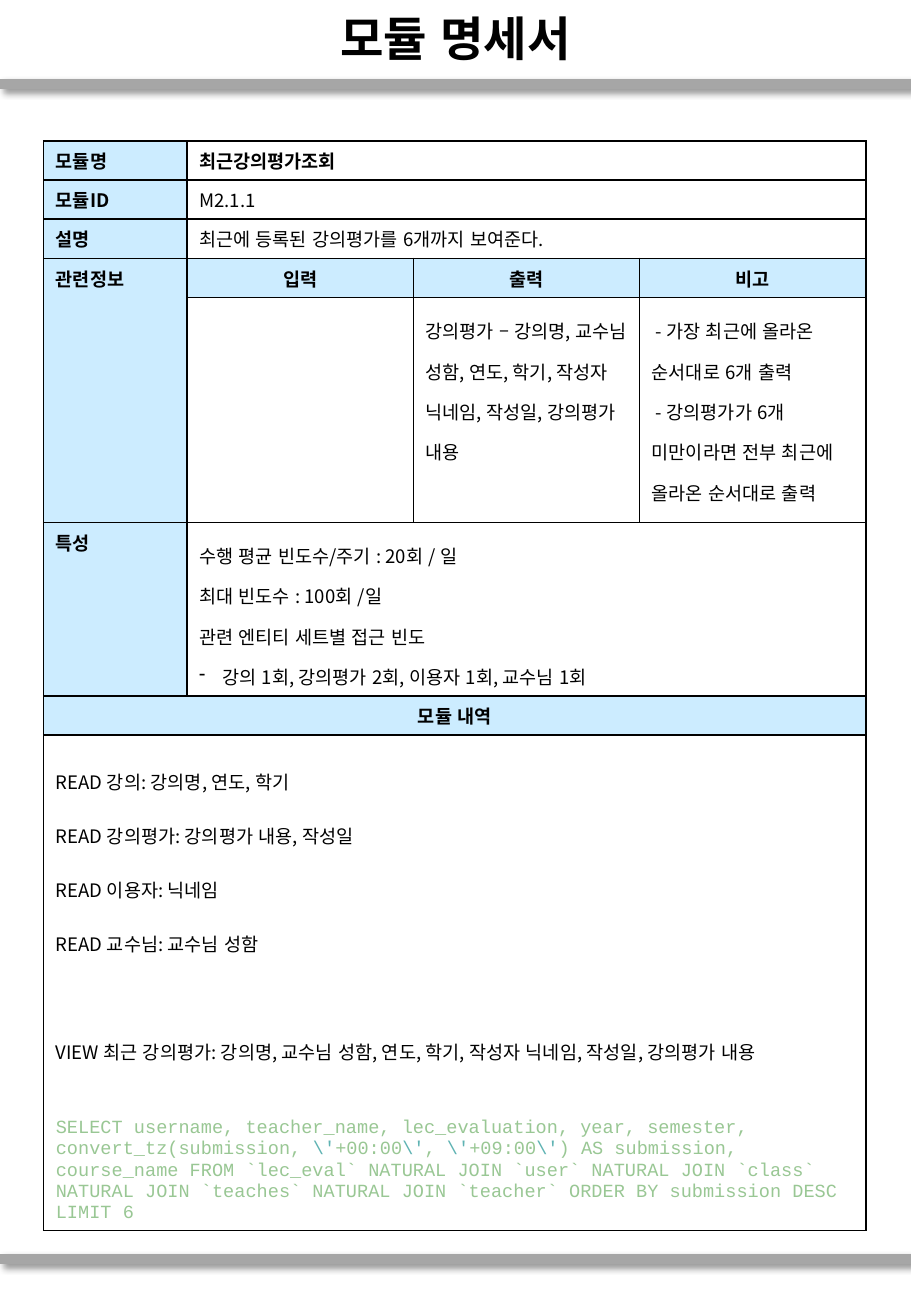
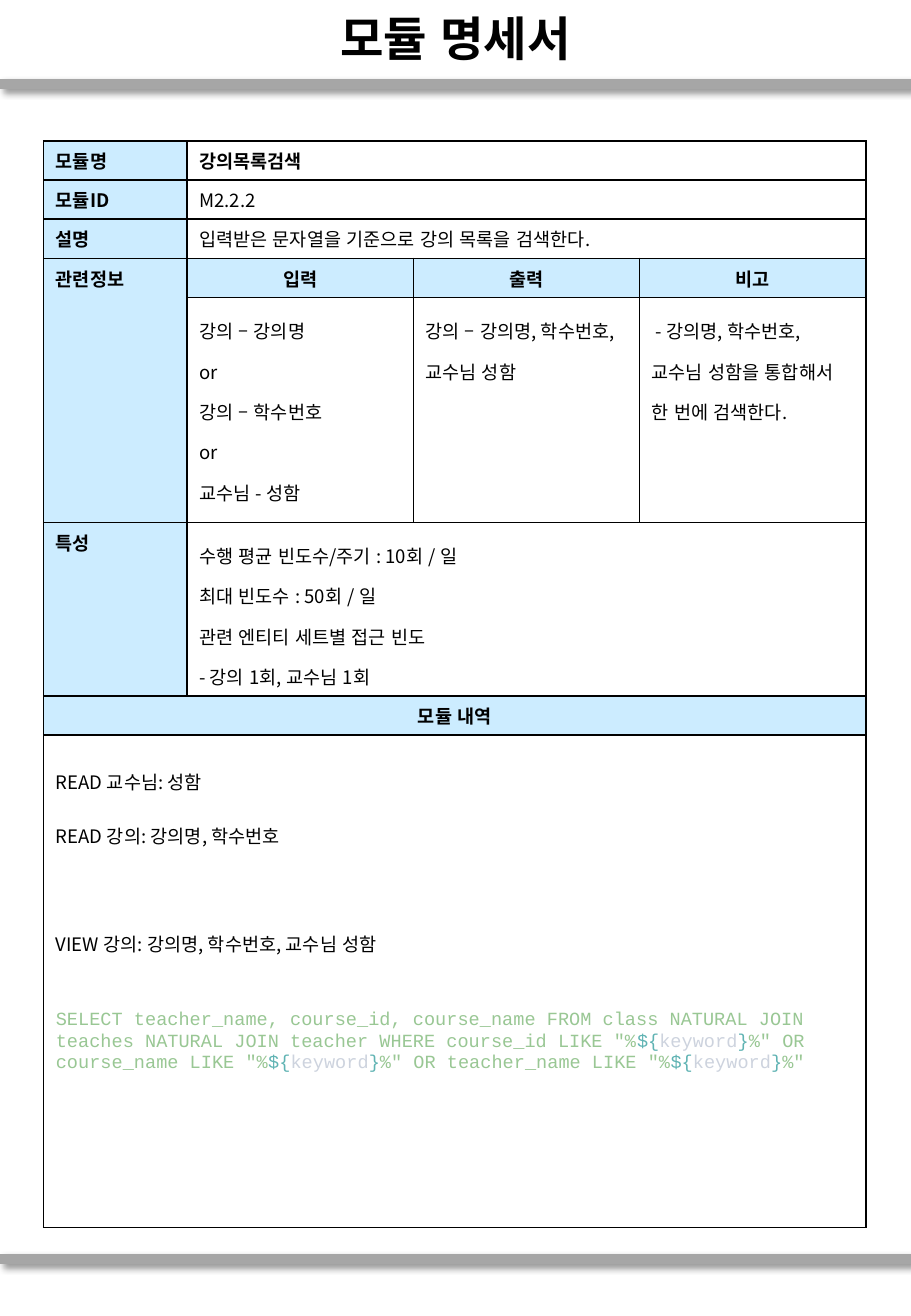
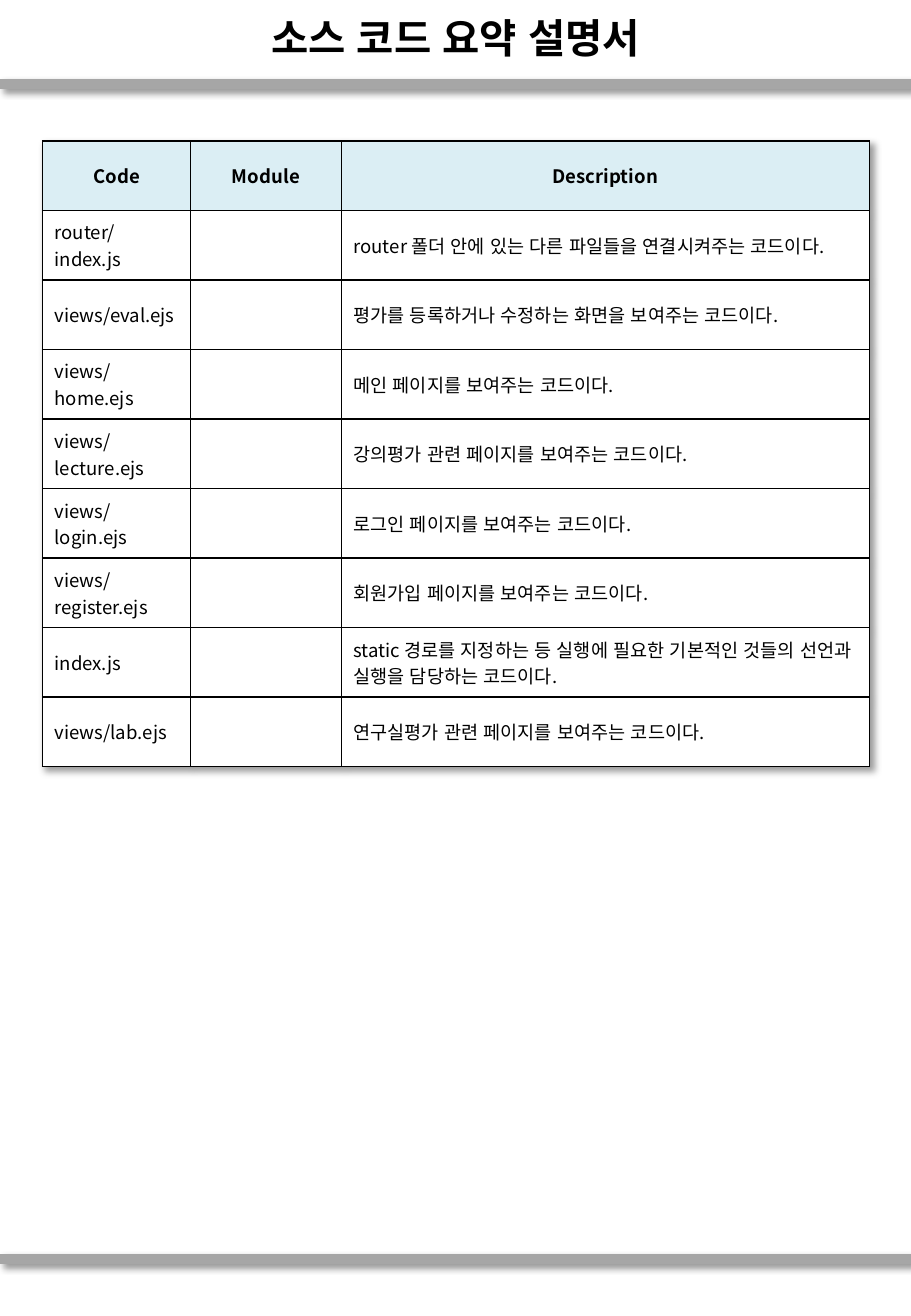
from dataclasses import dataclass

from lxml import etree
from pptx import Presentation
from pptx.dml.color import RGBColor
from pptx.enum.lang import MSO_LANGUAGE_ID
from pptx.enum.shapes import MSO_CONNECTOR
from pptx.enum.text import MSO_ANCHOR, MSO_AUTO_SIZE, PP_ALIGN
from pptx.oxml import parse_xml
from pptx.oxml.ns import nsdecls, qn
from pptx.util import Inches, Pt

KOREAN = MSO_LANGUAGE_ID.KOREAN
STRAIGHT = MSO_CONNECTOR.STRAIGHT
TOP, MIDDLE = MSO_ANCHOR.TOP, MSO_ANCHOR.MIDDLE
NO_FIT = MSO_AUTO_SIZE.NONE
LEFT, CENTER = PP_ALIGN.LEFT, PP_ALIGN.CENTER

WIDTH, HEIGHT = 7.5, 10.83
SANS, MONO = "Noto Sans CJK KR", "Courier New"
SIZE = 11
GAP = 31.8  # one double-spaced line
HUES = {
    "black": "000000", "white": "FFFFFF", "band": "A6A6A6",
    "label": "CCECFF", "head": "DBEEF4",
    "green": "99C794", "teal": "5FB3B3", "gray": "CDD3DE",
}


def rgb(hue):
    return RGBColor.from_string(HUES[hue])


def shadow():
    return parse_xml(
        f'<a:effectLst {nsdecls("a")}><a:outerShdw blurRad="{Pt(4)}" '
        f'dist="{Pt(3)}" dir="2700000" algn="tl" rotWithShape="0">'
        f'<a:srgbClr val="{HUES["black"]}"><a:alpha val="40000"/></a:srgbClr>'
        '</a:outerShdw></a:effectLst>')


@dataclass
class Para:
    """One paragraph: its text, or a list of (text, hue) runs."""
    text: object
    space: float = 1
    before: float = 0
    font: str = SANS
    dash: bool = False


class Deck:
    def __init__(self):
        self.prs = Presentation()
        self.prs.slide_width = Inches(WIDTH)
        self.prs.slide_height = Inches(HEIGHT)
        self.slide = None

    def page(self, title, size, font=SANS):
        first = self.slide is None
        self.slide = self.prs.slides.add_slide(self.prs.slide_layouts[5])
        if first:
            for num, top in enumerate((0.69, 10.36), 20):
                self.band(num, top)
        box = self.slide.shapes.title
        box.left, box.top = Inches(0), Inches(0.01)
        box.width, box.height = Inches(WIDTH), Inches(0.6)
        frame = box.text_frame
        frame.auto_size, frame.vertical_anchor = NO_FIT, MIDDLE
        para = frame.paragraphs[0]
        para.alignment = CENTER
        self.run(para, title, size=size, font=font, bold=True)

    def band(self, num, top):
        """Draw a band and move it to the master, so every slide has it."""
        line = self.slide.shapes.add_connector(
            STRAIGHT, Inches(0), Inches(top), Inches(WIDTH), Inches(top))
        line.line.color.rgb = rgb("band")
        line.line.width = Pt(6)
        line.name = f"Band {num}"
        item = line.element
        item.spPr.append(shadow())
        item.nvCxnSpPr.cNvPr.id = num
        self.prs.slide_master.shapes.element.append(item)

    def run(self, para, text, hue="black", size=SIZE, font=SANS, bold=False):
        run = para.add_run()
        run.text = text
        run.font.size, run.font.bold = Pt(size), bold
        run.font.color.rgb = rgb(hue)
        run.font.language_id = KOREAN
        run.font.name = font
        east = etree.SubElement(run.font._element, qn("a:ea"))
        east.set("typeface", font)

    def grid(self, left, top, cols, rows):
        frame = self.slide.shapes.add_table(
            len(rows), len(cols), Inches(left), Inches(top),
            Inches(sum(cols)), Inches(sum(rows)))
        table = frame.table
        table.horz_banding = table.first_row = False
        for col, width in zip(table.columns, cols):
            col.width = Inches(width)
        for row, height in zip(table.rows, rows):
            row.height = Inches(height)
        for cell in table.iter_cells():
            self.edge(cell)
            self.paint(cell, "white")
        return table

    def edge(self, cell):
        props = cell._tc.get_or_add_tcPr()
        for side in "LRTB":
            props.append(parse_xml(
                f'<a:ln{side} {nsdecls("a")} w="{Pt(1)}"><a:solidFill>'
                f'<a:srgbClr val="{HUES["black"]}"/></a:solidFill></a:ln{side}>'))

    def paint(self, cell, hue):
        cell.fill.solid()
        cell.fill.fore_color.rgb = rgb(hue)

    def put(self, cell, paras, hue="white", bold=False, align=LEFT, anchor=TOP):
        """Fill a cell with one string or a list of Para."""
        self.paint(cell, hue)
        cell.vertical_anchor = anchor
        if isinstance(paras, str):
            paras = [Para(paras)]
        frame = cell.text_frame
        for num, item in enumerate(paras):
            para = frame.add_paragraph() if num else frame.paragraphs[0]
            if item.dash:
                props = para._p.get_or_add_pPr()
                props.set("marL", str(Inches(0.19)))
                props.set("indent", str(-Inches(0.19)))
                etree.SubElement(props, qn("a:buChar")).set("char", "-")
            para.alignment, para.line_spacing = align, item.space
            if item.before:
                para.space_before = Pt(item.before)
            runs = item.text
            if isinstance(runs, str):
                runs = [(runs, "black")]
            for text, tint in runs:
                self.run(para, text, tint, font=item.font, bold=bold)

    def module(self, facts, links, traits, reads, view, code):
        """Lay out one module sheet."""
        self.page("모듈 명세서", 28)
        line = 0.32
        table = self.grid(0.36, 1.16, [1.18] + [(6.77 - 1.18) / 3] * 3,
                          [line] * 4 + [1.85, 1.43, line, 4.05])
        for row in (0, 1, 2, 5):
            table.cell(row, 1).merge(table.cell(row, 3))
        table.cell(3, 0).merge(table.cell(4, 0))
        for row in (6, 7):
            table.cell(row, 0).merge(table.cell(row, 3))

        names = ("모듈명", "모듈ID", "설명", "관련정보")
        for row, name in [*enumerate(names), (5, "특성")]:
            self.put(table.cell(row, 0), name, "label", True)
        for row, fact in enumerate(facts):
            self.put(table.cell(row, 1), fact, bold=row == 0)
        for col, name in enumerate(("입력", "출력", "비고"), 1):
            self.put(table.cell(3, col), name, "label", True, CENTER)
            self.put(table.cell(4, col),
                     [Para(text, 1.5) for text in links[col - 1]])
        self.put(table.cell(5, 1), traits)
        self.put(table.cell(6, 0), "모듈 내역", "label", True, CENTER)
        self.put(table.cell(7, 0), [
            *(Para("READ " + text, 2) for text in reads),
            Para("VIEW " + view, 2, GAP),
            Para(code, 1, GAP, MONO)])

    def files(self, heads, rows):
        """Lay out the table of source files."""
        count = len(rows) + 1
        table = self.grid(0.35, 1.16, [1.22, 1.24, 4.35], [5.15 / count] * count)
        table._tbl.tblPr.insert(0, shadow())
        for col, head in enumerate(heads):
            self.put(table.cell(0, col), head, "head", True, CENTER, MIDDLE)
        for row, (file, note) in enumerate(rows, 1):
            self.put(table.cell(row, 0), file, anchor=MIDDLE)
            self.put(table.cell(row, 2), note, anchor=MIDDLE)


def rates(mean, peak, last, dash=False):
    texts = (f"수행 평균 빈도수/주기 : {mean}", f"최대 빈도수 : {peak}",
             "관련 엔티티 세트별 접근 빈도")
    return [Para(text, 1.5) for text in texts] + [Para(last, 1.5, dash=dash)]


def main():
    deck = Deck()
    quote = ("\\'", "teal")
    deck.module(
        facts=("최근강의평가조회", "M2.1.1",
               "최근에 등록된 강의평가를 6개까지 보여준다."),
        links=([],
               ["강의평가 – 강의명, 교수님 성함, 연도, 학기, 작성자 닉네임, "
                "작성일, 강의평가 내용"],
               [" - 가장 최근에 올라온 순서대로 6개 출력",
                " - 강의평가가 6개 미만이라면 전부 최근에 올라온 순서대로 출력"]),
        traits=rates("20회 / 일", "100회 /일",
                     "강의 1회, 강의평가 2회, 이용자 1회, 교수님 1회", True),
        reads=("강의: 강의명, 연도, 학기", "강의평가: 강의평가 내용, 작성일",
               "이용자: 닉네임", "교수님: 교수님 성함"),
        view="최근 강의평가: 강의명, 교수님 성함, 연도, 학기, 작성자 닉네임, "
             "작성일, 강의평가 내용",
        code=[("SELECT username, teacher_name, lec_evaluation, year, semester, "
               "convert_tz(submission, ", "green"),
              quote, ("+00:00", "green"), quote, (", ", "green"),
              quote, ("+09:00", "green"), quote,
              (") AS submission, course_name FROM `lec_eval` NATURAL JOIN `user` "
               "NATURAL JOIN `class` NATURAL JOIN `teaches` NATURAL JOIN `teacher` "
               "ORDER BY submission DESC LIMIT 6", "green")])

    key = [("${", "teal"), ("keyword", "gray"), ("}", "teal")]
    deck.module(
        facts=("강의목록검색", "M2.2.2",
               "입력받은 문자열을 기준으로 강의 목록을 검색한다."),
        links=(["강의 – 강의명", "or", "강의 – 학수번호", "or", "교수님 - 성함"],
               ["강의 – 강의명, 학수번호, 교수님 성함"],
               [" - 강의명, 학수번호, 교수님 성함을 통합해서 한 번에 검색한다."]),
        traits=rates("10회 / 일", "50회 / 일", "- 강의 1회, 교수님 1회"),
        reads=("교수님: 성함", "강의: 강의명, 학수번호"),
        view="강의: 강의명, 학수번호, 교수님 성함",
        code=[("SELECT teacher_name, course_id, course_name FROM class NATURAL JOIN "
               "teaches NATURAL JOIN teacher WHERE course_id LIKE \"%", "green"),
              *key, ("%\" OR course_name LIKE \"%", "green"),
              *key, ("%\" OR teacher_name LIKE \"%", "green"),
              *key, ("%\"", "green")])

    deck.page("소스 코드 요약 설명서", 24, "Arial")
    deck.files(("Code", "Module", "Description"), [
        ("router/index.js", "router 폴더 안에 있는 다른 파일들을 연결시켜주는 코드이다."),
        ("views/eval.ejs", "평가를 등록하거나 수정하는 화면을 보여주는 코드이다."),
        ("views/home.ejs", "메인 페이지를 보여주는 코드이다."),
        ("views/lecture.ejs", "강의평가 관련 페이지를 보여주는 코드이다."),
        ("views/login.ejs", "로그인 페이지를 보여주는 코드이다."),
        ("views/register.ejs", "회원가입 페이지를 보여주는 코드이다."),
        ("index.js", "static 경로를 지정하는 등 실행에 필요한 기본적인 것들의 "
                     "선언과 실행을 담당하는 코드이다."),
        ("views/lab.ejs", "연구실평가 관련 페이지를 보여주는 코드이다."),
    ])
    deck.prs.save("out.pptx")


if __name__ == "__main__":
    main()
